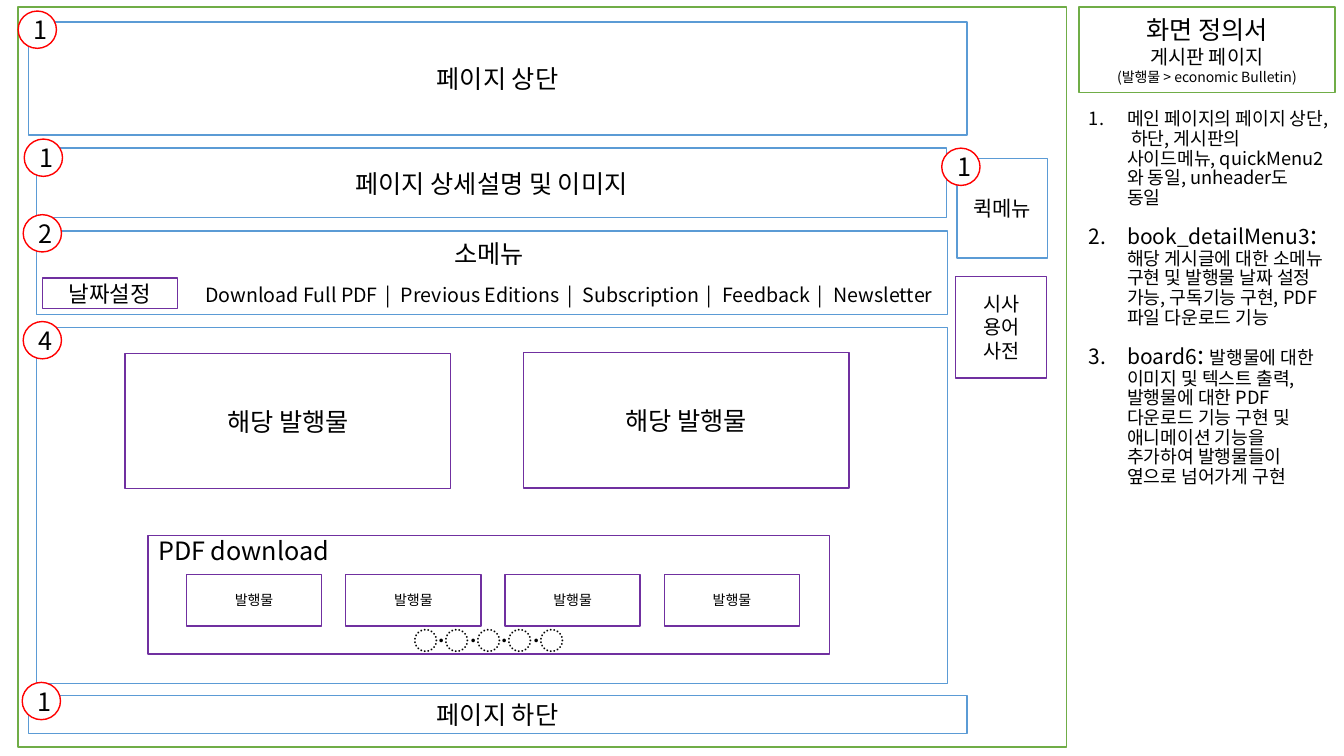
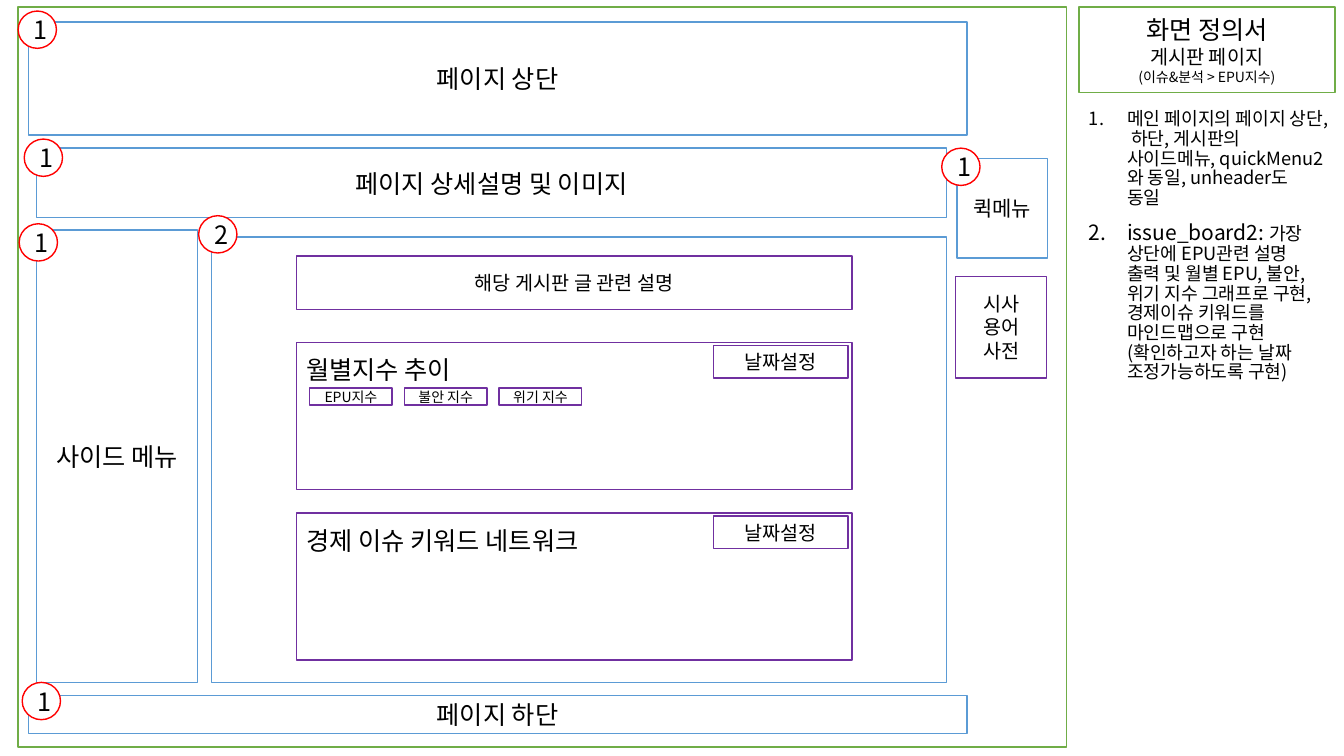
from dataclasses import dataclass

from lxml.etree import SubElement
from pptx import Presentation
from pptx.dml.color import RGBColor
from pptx.enum.shapes import MSO_SHAPE
from pptx.enum.text import MSO_ANCHOR, MSO_AUTO_SIZE, PP_ALIGN
from pptx.oxml.ns import qn
from pptx.util import Emu, Pt

SCALE = 9144


@dataclass(frozen=True)
class Theme:
    font: str = "Noto Sans CJK KR"
    ink: str = "000000"
    paper: str = "FFFFFF"
    green: str = "70AD47"
    blue: str = "5B9BD5"
    purple: str = "7030A0"
    red: str = "FF0000"
    head: int = 18
    date: int = 16
    term: int = 15
    text: int = 14
    note: int = 13
    tiny: int = 10


THEME = Theme()


def px(count):
    return Emu(count * SCALE)


def put(target, values):
    for name, value in values.items():
        setattr(target, name, value)


def place(shape, area):
    put(shape, dict(zip(("left", "top", "width", "height"), map(px, area))))


def paint(shape, hue):
    shape.fill.solid()
    shape.fill.fore_color.rgb = RGBColor.from_string(THEME.paper)
    shape.line.color.rgb = RGBColor.from_string(hue)
    shape.line.width = Pt(1)


def add_run(para, text, size, gap=0):
    run = para.add_run()
    run.text = text
    put(run.font, {"name": THEME.font, "size": Pt(size), "bold": False})
    run.font.color.rgb = RGBColor.from_string(THEME.ink)
    props = run.font._element
    SubElement(props, qn("a:ea"), typeface=THEME.font)
    if gap:
        props.set("spc", str(gap))


def write(frame, paras, form, style):
    put(frame, {"word_wrap": True, "auto_size": MSO_AUTO_SIZE.NONE, **form})
    for index, runs in enumerate(paras):
        para = frame.add_paragraph() if index else frame.paragraphs[0]
        put(para, style)
        for run in runs:
            add_run(para, *run)


def add_box(slide, area, hue, text="", size=THEME.head, kind=MSO_SHAPE.RECTANGLE):
    shape = slide.shapes.add_shape(kind, *map(px, area))
    shape.shadow.inherit = False
    paint(shape, hue)
    if text:
        write(shape.text_frame, [[(text, size)]],
              {"vertical_anchor": MSO_ANCHOR.MIDDLE}, {"alignment": PP_ALIGN.CENTER})
    return shape


def add_panel(slide, area, text, inset):
    shape = add_box(slide, area, THEME.purple)
    write(shape.text_frame, [[(text, THEME.head)]],
          {"vertical_anchor": MSO_ANCHOR.TOP, "margin_top": px(inset)},
          {"alignment": PP_ALIGN.LEFT})
    return shape


def add_row(slide, area, step, labels):
    left, top, width, height = area
    for index, label in enumerate(labels):
        add_box(slide, (left + index * step, top, width, height),
                THEME.purple, label, THEME.tiny)


def add_marks(slide, marks):
    for left, top, text in marks:
        add_box(slide, (left, top, 38, 37), THEME.red, text,
                kind=MSO_SHAPE.FLOWCHART_CONNECTOR)


def add_title(slide, trail):
    title = slide.shapes.title
    place(title, (1070, 7, 254, 85))
    paint(title, THEME.green)
    lines = [[("화면 정의서", THEME.head)], [("게시판 페이지", THEME.text)], [(trail, THEME.tiny)]]
    write(title.text_frame, lines, {"vertical_anchor": MSO_ANCHOR.MIDDLE},
          {"alignment": PP_ALIGN.CENTER})


def add_notes(slide, notes):
    body = slide.placeholders[1]
    place(body, (1070, 104, 254, 623))
    first = [("메인 페이지의 페이지 상단, 하단, 게시판의 사이드메뉴, quickMenu2와 동일, unheader도 동일", THEME.note)]
    write(body.text_frame, [first, *notes], {"vertical_anchor": MSO_ANCHOR.TOP},
          {"alignment": PP_ALIGN.LEFT, "line_spacing": 0.9, "space_before": Pt(10)})
    for para in body.text_frame.paragraphs:
        props = para._p.get_or_add_pPr()
        props.set("marL", str(px(38)))
        props.set("indent", str(px(-38)))
        SubElement(props, qn("a:buFont"), typeface=THEME.font)
        SubElement(props, qn("a:buAutoNum"), type="arabicPeriod")


def add_page(deck, trail, notes):
    slide = deck.slides.add_slide(deck.slide_layouts[1])
    add_title(slide, trail)
    add_notes(slide, notes)
    add_box(slide, (18, 7, 1040, 734), THEME.green)
    add_box(slide, (28, 22, 931, 112), THEME.blue, "페이지 상단")
    add_box(slide, (36, 147, 903, 69), THEME.blue, "페이지 상세설명 및 이미지")
    add_box(slide, (28, 690, 931, 38), THEME.blue, "페이지 하단")
    add_box(slide, (949, 157, 90, 99), THEME.blue, "퀵메뉴", THEME.term)
    add_box(slide, (948, 274, 90, 101), THEME.purple, "시사 용어 사전", THEME.text)
    add_marks(slide, [(18, 11, "1"), (24, 138, "1"), (934, 147, "1")])
    return slide


def add_menu(slide):
    names = ["Download Full PDF", "Previous Editions", "Subscription", "Feedback", "Newsletter"]
    links = [(names[0], THEME.text)]
    for name in names[1:]:
        links += [(" | ", THEME.text, 210), (name, THEME.text)]
    menu = add_box(slide, (36, 229, 904, 83), THEME.blue)
    frame = menu.text_frame
    write(frame, [[("소메뉴", THEME.head)], links],
          {"vertical_anchor": MSO_ANCHOR.MIDDLE, "margin_right": px(15)},
          {"alignment": PP_ALIGN.CENTER})
    put(frame.paragraphs[1], {"alignment": PP_ALIGN.RIGHT, "space_before": Pt(10)})
    add_box(slide, (42, 276, 134, 30), THEME.purple, "날짜설정", THEME.date)


def add_issues(deck):
    notes = [
        [("book_detailMenu3", THEME.term), (": ", THEME.head),
         ("해당 게시글에 대한 소메뉴 구현 및 발행물 날짜 설정 가능, 구독기능 구현, PDF 파일 다운로드 기능", THEME.note)],
        [("board6", THEME.term), (": ", THEME.head),
         ("발행물에 대한 이미지 및 텍스트 출력, 발행물에 대한 PDF다운로드 기능 구현 및 "
          "애니메이션 기능을 추가하여 발행물들이 옆으로 넘어가게 구현", THEME.note)],
    ]
    slide = add_page(deck, "(발행물 > economic Bulletin)", notes)
    add_menu(slide)
    add_box(slide, (36, 325, 904, 353), THEME.blue)
    for left, top in ((124, 351), (519, 350)):
        add_box(slide, (left, top, 323, 134), THEME.purple, "해당 발행물")
    panel = add_panel(slide, (147, 531, 676, 118), "PDF download", 0)
    dots = panel.text_frame.add_paragraph()
    put(dots, {"alignment": PP_ALIGN.CENTER, "space_before": Pt(43)})
    add_run(dots, "〮〮〮〮", THEME.head)
    add_row(slide, (185, 570, 134, 51), 158, ["발행물"] * 4)
    add_marks(slide, [(23, 213, "2"), (23, 319, "4"), (22, 677, "1")])


def add_index(deck):
    notes = [
        [("issue_board2: ", THEME.term),
         ("가장 상단에 EPU관련 설명 출력 및 월별 EPU, 불안, 위기 지수 그래프로 구현, "
          "경제이슈 키워드를 마인드맵으로 구현(확인하고자 하는 날짜 조정가능하도록 구현)", THEME.note)],
    ]
    slide = add_page(deck, "(이슈&분석 > EPU지수)", notes)
    add_box(slide, (36, 228, 160, 449), THEME.blue, "사이드 메뉴")
    add_box(slide, (210, 235, 729, 442), THEME.blue)
    add_box(slide, (294, 254, 551, 53), THEME.purple, "해당 게시판 글 관련 설명", THEME.text)
    for top, text in ((340, "월별지수 추이"), (509, "경제 이슈 키워드 네트워크")):
        add_panel(slide, (294, top, 551, 146), text, 12)
        add_box(slide, (708, top + 3, 133, 32), THEME.purple, "날짜설정", THEME.text)
    add_row(slide, (307, 385, 82, 17), 94, ["EPU지수", "불안 지수", "위기 지수"])
    add_marks(slide, [(19, 222, "1"), (197, 214, "2"), (22, 677, "1")])


def main():
    deck = Presentation()
    put(deck, {"slide_width": px(1333), "slide_height": px(750)})
    add_issues(deck)
    add_index(deck)
    deck.save("out.pptx")


if __name__ == "__main__":
    main()
